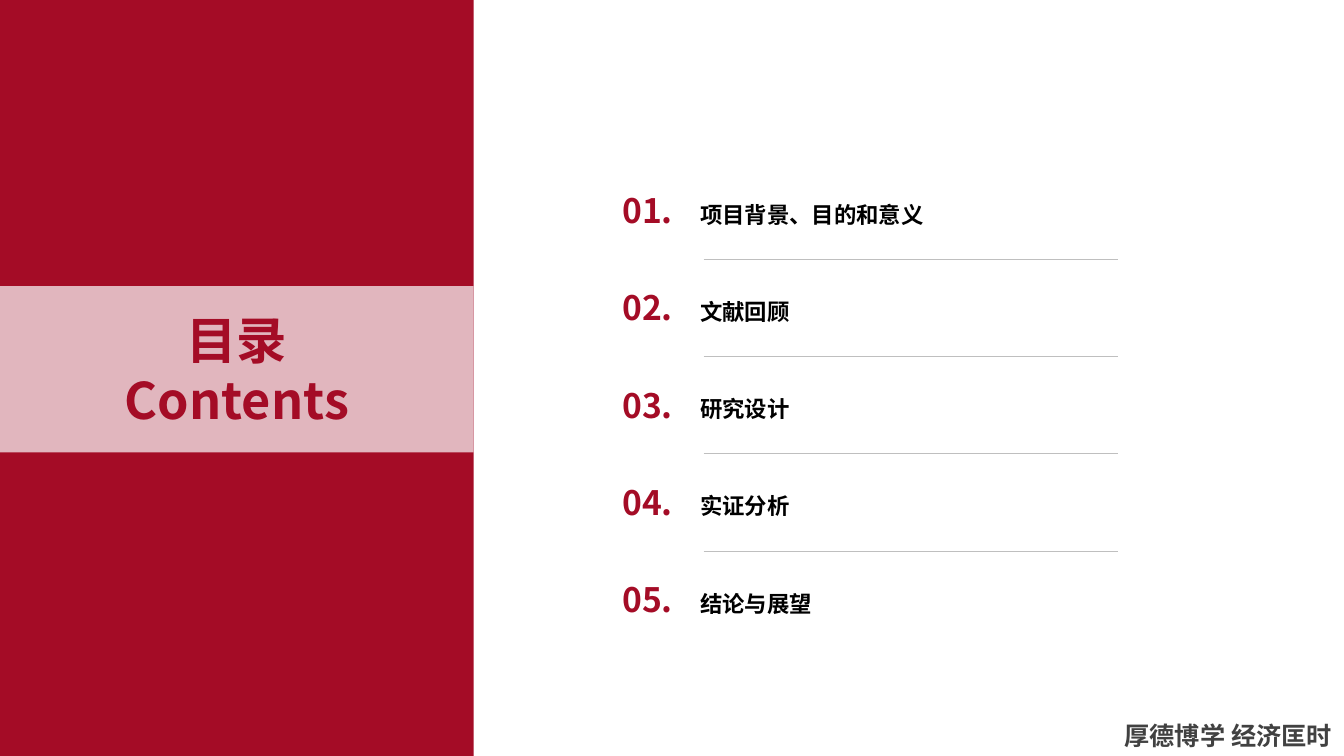
from dataclasses import dataclass

from lxml.etree import SubElement
from pptx import Presentation
from pptx.dml.color import RGBColor
from pptx.enum.shapes import MSO_CONNECTOR, MSO_SHAPE
from pptx.enum.text import MSO_ANCHOR, PP_ALIGN
from pptx.oxml.ns import qn
from pptx.shapes.autoshape import Shape
from pptx.slide import Slide
from pptx.util import Cm, Pt

COLORS = {
    "crimson": "A40C26",
    "blush": "E1B6BE",
    "black": "000000",
    "rule": "BFBFBF",
    "motto": "414141",
}
FONT = "Noto Sans CJK SC"
MOTTO_FONT = "Noto Sans CJK JP"

TOPICS = ["项目背景、目的和意义", "文献回顾", "研究设计", "实证分析", "结论与展望"]
TOPIC_PITCH = 2.45
PANEL_WIDTH = 11.94


@dataclass(frozen=True)
class Area:
    left: float
    top: float
    width: float
    height: float

    def moved_down(self, distance: float) -> "Area":
        return Area(self.left, self.top + distance, self.width, self.height)

    def lengths(self) -> tuple[Cm, Cm, Cm, Cm]:
        return Cm(self.left), Cm(self.top), Cm(self.width), Cm(self.height)


@dataclass(frozen=True)
class TextStyle:
    size: int
    color: str
    align: PP_ALIGN = PP_ALIGN.LEFT
    spacing: float = 1.0
    anchor: MSO_ANCHOR = MSO_ANCHOR.MIDDLE
    font: str = FONT


NUMBER_AREA = Area(15.42, 4.5, 1.8, 1.6)
TOPIC_AREA = Area(17.4, 4.6, 9.78, 1.4)
RULE_AREA = Area(17.73, 6.53, 10.44, 0)

NUMBER_STYLE = TextStyle(24, "crimson", PP_ALIGN.CENTER)
TOPIC_STYLE = TextStyle(16, "black", spacing=1.3)
HEADING_STYLE = TextStyle(36, "crimson", PP_ALIGN.CENTER)
MOTTO_STYLE = TextStyle(18, "motto", spacing=1.5, anchor=MSO_ANCHOR.TOP, font=MOTTO_FONT)


def rgb(name: str) -> RGBColor:
    return RGBColor.from_string(COLORS[name])


def write_text(shape: Shape, lines: list[str], style: TextStyle) -> None:
    frame = shape.text_frame
    frame.vertical_anchor = style.anchor
    frame.text = "\n".join(lines)
    for para in frame.paragraphs:
        para.alignment = style.align
        para.line_spacing = style.spacing
        span = para.runs[0]
        for font in (para.font, span.font):
            font.name = style.font
            font.size = Pt(style.size)
            font.bold = True
            font.color.rgb = rgb(style.color)
        east_asian = SubElement(span._r.get_or_add_rPr(), qn("a:ea"))
        east_asian.set("typeface", style.font)


def add_text(page: Slide, area: Area, text: str, style: TextStyle) -> None:
    box = page.shapes.add_textbox(*area.lengths())
    box.text_frame.word_wrap = False
    write_text(box, [text], style)


def add_panel(page: Slide, area: Area, color: str) -> Shape:
    panel = page.shapes.add_shape(MSO_SHAPE.RECTANGLE, *area.lengths())
    panel.shadow.inherit = False
    panel.fill.solid()
    panel.fill.fore_color.rgb = rgb(color)
    panel.line.fill.background()
    return panel


def add_rule(page: Slide, area: Area) -> None:
    left, top, width, height = area.lengths()
    rule = page.shapes.add_connector(
        MSO_CONNECTOR.STRAIGHT, left, top, left + width, top + height
    )
    rule.line.color.rgb = rgb("rule")
    rule.line.width = Pt(0.25)
    SubElement(rule._element.spPr, qn("a:effectLst"))


deck = Presentation()
deck.slide_width = Cm(33.87)
deck.slide_height = Cm(19.05)
page = deck.slides.add_slide(deck.slide_layouts[6])

add_panel(page, Area(0, 0, PANEL_WIDTH, 19.05), "crimson")
heading = add_panel(page, Area(0, 7.21, PANEL_WIDTH, 4.19), "blush")
write_text(heading, ["目录", "Contents"], HEADING_STYLE)

for index, topic in enumerate(TOPICS):
    offset = index * TOPIC_PITCH
    add_text(page, NUMBER_AREA.moved_down(offset), f"{index + 1:02}.", NUMBER_STYLE)
    add_text(page, TOPIC_AREA.moved_down(offset), topic, TOPIC_STYLE)
    if index < len(TOPICS) - 1:
        add_rule(page, RULE_AREA.moved_down(offset))

add_text(page, Area(28.09, 17.65, 5.79, 1.4), "厚德博学 经济匡时", MOTTO_STYLE)

deck.save("out.pptx")
